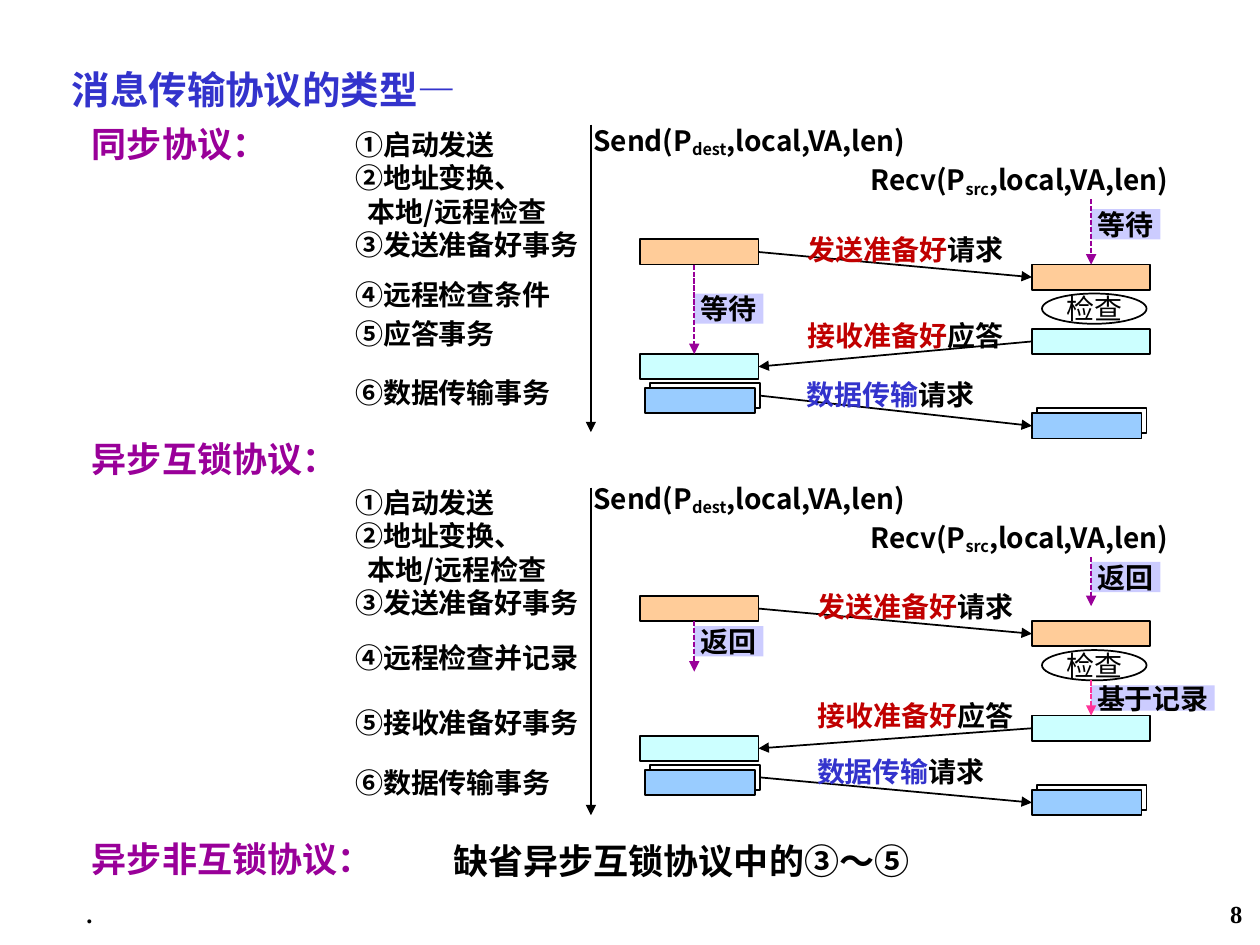
"""Build a slide comparing three message transfer protocols with timing diagrams."""
import pptx
import pptx.dml.color
import pptx.enum.dml
import pptx.enum.shapes
import pptx.enum.text
import pptx.util
from lxml import etree

Inches = pptx.util.Inches
Pt = pptx.util.Pt
Align = pptx.enum.text.PP_ALIGN
Anchor = pptx.enum.text.MSO_ANCHOR
Shape = pptx.enum.shapes.MSO_SHAPE
NAMESPACE = "http://schemas.openxmlformats.org/drawingml/2006/main"

THEME = {
    "sans": "Noto Sans CJK SC", "serif": "Times New Roman",
    "black": "000000", "blue": "3333CC", "purple": "990099", "red": "C00000",
    "pink": "FF3399", "lavender": "CCCCFF", "orange": "FFCC99",
    "cyan": "CCFFFF", "sky": "99CCFF",
    "title": 22, "heading": 20, "body": 16, "footer": 14, "leading": 1.2,
}

HEADINGS = [
    (0.57, 0.51, [("消息传输协议的类型", "blue", "sans"), ("—", "blue", "serif")], "title"),
    (0.73, 0.94, [("同步协议：", "purple", "sans")], "heading"),
    (0.73, 3.44, [("异步互锁协议：", "purple", "sans")], "heading"),
    (0.73, 6.61, [("异步非互锁协议：", "purple", "sans")], "heading"),
    (3.6, 6.63, [("缺省异步互锁协议中的③～⑤", "black", "sans")], "heading"),
]
FOOTERS = [(0.04, 1.34, ".", Align.CENTER), (8.86, 1.1, "8", Align.RIGHT)]

CALLS = [("Send(P", "dest", 4.69, 0.0), ("Recv(P", "src", 6.89, 0.31)]
FIRST_STEPS = [("①启动发送", 0), ("②地址变换、", 0), ("本地/远程检查", 0), ("③发送准备好事务", 0)]
PROTOCOLS = [
    {
        "top": 0.99, "timeline": (0.99, 3.43), "message_left": 6.34,
        "steps": FIRST_STEPS + [("④远程检查条件", 9), ("⑤应答事务", 3), ("⑥数据传输事务", 15)],
        "request": 1.9, "reply": 2.61, "data": 3.04, "drop": 0.2,
        "message_tops": (1.86, 2.54, 3.01),
        "notes": [("等待", "sender", 2.33, 0.55, 0.24), ("等待", "receiver", 1.66, 0.55, 0.24)],
        "waits": [("sender", 2.1, 2.81, "purple", None),
                  ("receiver", 1.58, 2.1, "purple", "request")],
    },
    {
        "top": 3.83, "timeline": (3.87, 6.47), "message_left": 6.42,
        "steps": FIRST_STEPS + [("④远程检查并记录", 12), ("⑤接收准备好事务", 18), ("⑥数据传输事务", 15)],
        "request": 4.73, "reply": 5.68, "data": 6.07, "drop": 0.16,
        "message_tops": (4.69, 5.56, 6.0),
        "notes": [("返回", "sender", 4.97, 0.55, 0.24), ("返回", "receiver", 4.46, 0.55, 0.24),
                  ("基于记录", "receiver", 5.44, 0.98, 0.2)],
        "waits": [("sender", 4.93, 5.33, "purple", None),
                  ("receiver", 4.42, 4.81, "purple", None),
                  ("receiver", 5.4, 5.68, "pink", "reply")],
    },
]
MESSAGES = [("发送准备好", "请求", "red", 1.69), ("接收准备好", "应答", "red", 1.69),
            ("数据传输", "请求", "blue", 1.46)]
COLUMNS = {"steps": 2.8, "timeline": 4.69, "sender": 5.08, "receiver": 8.19}
WAIT_COLUMNS = {"sender": 5.51, "receiver": 8.66}
BAR_WIDTH, PACKET_WIDTH, BAR_HEIGHT, STACK_OFFSET = 0.94, 0.87, 0.2, 0.04


def color(name):
    return pptx.dml.color.RGBColor.from_string(THEME[name])


def add_run(paragraph, text, tint, font, size, bold=True, baseline=None):
    run = paragraph.add_run()
    run.text = text
    run.font.size = Pt(THEME[size])
    run.font.bold = bold
    run.font.color.rgb = color(tint)
    run.font.name = THEME[font]
    properties = run.font._element
    etree.SubElement(properties, f"{{{NAMESPACE}}}ea", typeface=THEME["sans"])
    if baseline:
        properties.set("baseline", str(baseline))
    paragraph.line_spacing = Pt(THEME[size] * THEME["leading"])


def prepare_frame(shape, inset=(0.02, 0.01), anchor=Anchor.MIDDLE, wrap=False):
    frame = shape.text_frame
    frame.word_wrap = wrap
    frame.vertical_anchor = anchor
    frame.margin_left = frame.margin_right = Inches(inset[0])
    frame.margin_top = frame.margin_bottom = Inches(inset[1])
    return frame


def add_text(shapes, left, top, width, height, runs, size="body", align=Align.LEFT, **frame_options):
    box = shapes.add_textbox(*map(Inches, (left, top, width, height)))
    paragraph = prepare_frame(box, **frame_options).paragraphs[0]
    paragraph.alignment = align
    for text, tint, font, *extra in runs:
        add_run(paragraph, text, tint, font, size, True, *extra)


def add_block(shapes, left, top, width, height, fill=None, outlined=True, kind=Shape.RECTANGLE):
    shape = shapes.add_shape(kind, *map(Inches, (left, top, width, height)))
    shape.shadow.inherit = False
    if fill:
        shape.fill.solid()
        shape.fill.fore_color.rgb = color(fill)
    else:
        shape.fill.background()
    if outlined:
        shape.line.color.rgb = color("black")
        shape.line.width = Pt(1)
    else:
        shape.line.fill.background()
    return shape


def label_block(shape, text, bold):
    paragraph = prepare_frame(shape).paragraphs[0]
    paragraph.alignment = Align.CENTER
    add_run(paragraph, text, "black", "serif", "body", bold)


def add_arrow(shapes, start, end, tint="black", width=1, dashed=False):
    arrow = shapes.add_connector(pptx.enum.shapes.MSO_CONNECTOR.STRAIGHT,
                                 *map(Inches, (*start, *end)))
    arrow.line.color.rgb = color(tint)
    arrow.line.width = Pt(width)
    if dashed:
        arrow.line.dash_style = pptx.enum.dml.MSO_LINE.SQUARE_DOT
    properties = arrow._element.spPr
    etree.SubElement(arrow.line._get_or_add_ln(), f"{{{NAMESPACE}}}tailEnd", type="triangle")
    etree.SubElement(properties, f"{{{NAMESPACE}}}effectLst")
    return arrow


def add_message_arrow(shapes, source, target, source_side, target_side):
    ends = [((shape.left + (shape.width if side == 3 else 0)) / Inches(1),
             (shape.top + shape.height / 2) / Inches(1))
            for shape, side in ((source, source_side), (target, target_side))]
    arrow = add_arrow(shapes, *ends)
    arrow.begin_connect(source, source_side)
    arrow.end_connect(target, target_side)


def add_packets(shapes, left, top):
    back = add_block(shapes, left + STACK_OFFSET, top, PACKET_WIDTH, BAR_HEIGHT)
    front = add_block(shapes, left, top + STACK_OFFSET, PACKET_WIDTH, BAR_HEIGHT, "sky")
    return back, front


def add_steps(shapes, protocol):
    box = shapes.add_textbox(*map(Inches, (COLUMNS["steps"], protocol["top"] + 0.01, 1.9, 2.4)))
    frame = prepare_frame(box, anchor=Anchor.TOP)
    for index, (text, gap) in enumerate(protocol["steps"]):
        paragraph = frame.paragraphs[0] if index == 0 else frame.add_paragraph()
        paragraph.space_before = Pt(gap)
        if text.startswith("本地"):
            paragraph._p.get_or_add_pPr().set("marL", str(Inches(0.1)))
        add_run(paragraph, text, "black", "sans", "body")


def add_protocol(shapes, protocol):
    sender, receiver = COLUMNS["sender"], COLUMNS["receiver"]
    request, reply, drop = protocol["request"], protocol["reply"], protocol["drop"]
    for text, column, top, width, height in protocol["notes"]:
        note = add_block(shapes, WAIT_COLUMNS[column], top, width, height, "lavender", False)
        label_block(note, text, True)
    add_steps(shapes, protocol)
    for name, subscript, left, offset in CALLS:
        runs = [(name, "black", "sans"), (subscript, "black", "sans", -16000),
                (",local,VA,len)", "black", "sans")]
        add_text(shapes, left, protocol["top"] + offset, 2.6, 0.28, runs)
    check = add_block(shapes, 8.27, request + 0.43, 0.83, 0.24, kind=Shape.OVAL)
    label_block(check, "检查", False)
    sent = add_block(shapes, sender, request, BAR_WIDTH, BAR_HEIGHT, "orange")
    received = {
        "request": add_block(shapes, receiver, request + 0.2, BAR_WIDTH, BAR_HEIGHT, "orange"),
        "reply": add_block(shapes, receiver, reply, BAR_WIDTH, BAR_HEIGHT, "cyan"),
    }
    answered = add_block(shapes, sender, reply + drop, BAR_WIDTH, BAR_HEIGHT, "cyan")
    data_back, _ = add_packets(shapes, sender + STACK_OFFSET, protocol["data"])
    _, data_front = add_packets(shapes, receiver, protocol["data"] + drop)
    add_message_arrow(shapes, sent, received["request"], 3, 1)
    add_message_arrow(shapes, received["reply"], answered, 1, 3)
    add_message_arrow(shapes, data_back, data_front, 3, 1)
    for (subject, action, tint, width), top in zip(MESSAGES, protocol["message_tops"]):
        add_text(shapes, protocol["message_left"], top, width, 0.24,
                 [(subject, tint, "serif"), (action, "black", "serif")], align=Align.CENTER)
    for column, start, end, tint, target in protocol["waits"]:
        center = WAIT_COLUMNS[column]
        arrow = add_arrow(shapes, (center, start), (center, end), tint, dashed=True)
        if target:
            arrow.end_connect(received[target], 0)
    start, end = protocol["timeline"]
    add_arrow(shapes, (COLUMNS["timeline"], start), (COLUMNS["timeline"], end), width=0.75)


presentation = pptx.Presentation()
presentation.slide_width, presentation.slide_height = Inches(10), Inches(7.5)
slide = presentation.slides.add_slide(presentation.slide_layouts[6])
for left, top, runs, size in HEADINGS:
    add_text(slide.shapes, left, top, 4, 0.4, runs, size, inset=(0, 0))
for left, width, text, align in FOOTERS:
    add_text(slide.shapes, left, 7.06, width, 0.39, [(text, "black", "serif", None)], "footer",
             align, inset=(0.1, 0.05), wrap=True)
for protocol in PROTOCOLS:
    add_protocol(slide.shapes.add_group_shape().shapes, protocol)
presentation.save("out.pptx")
